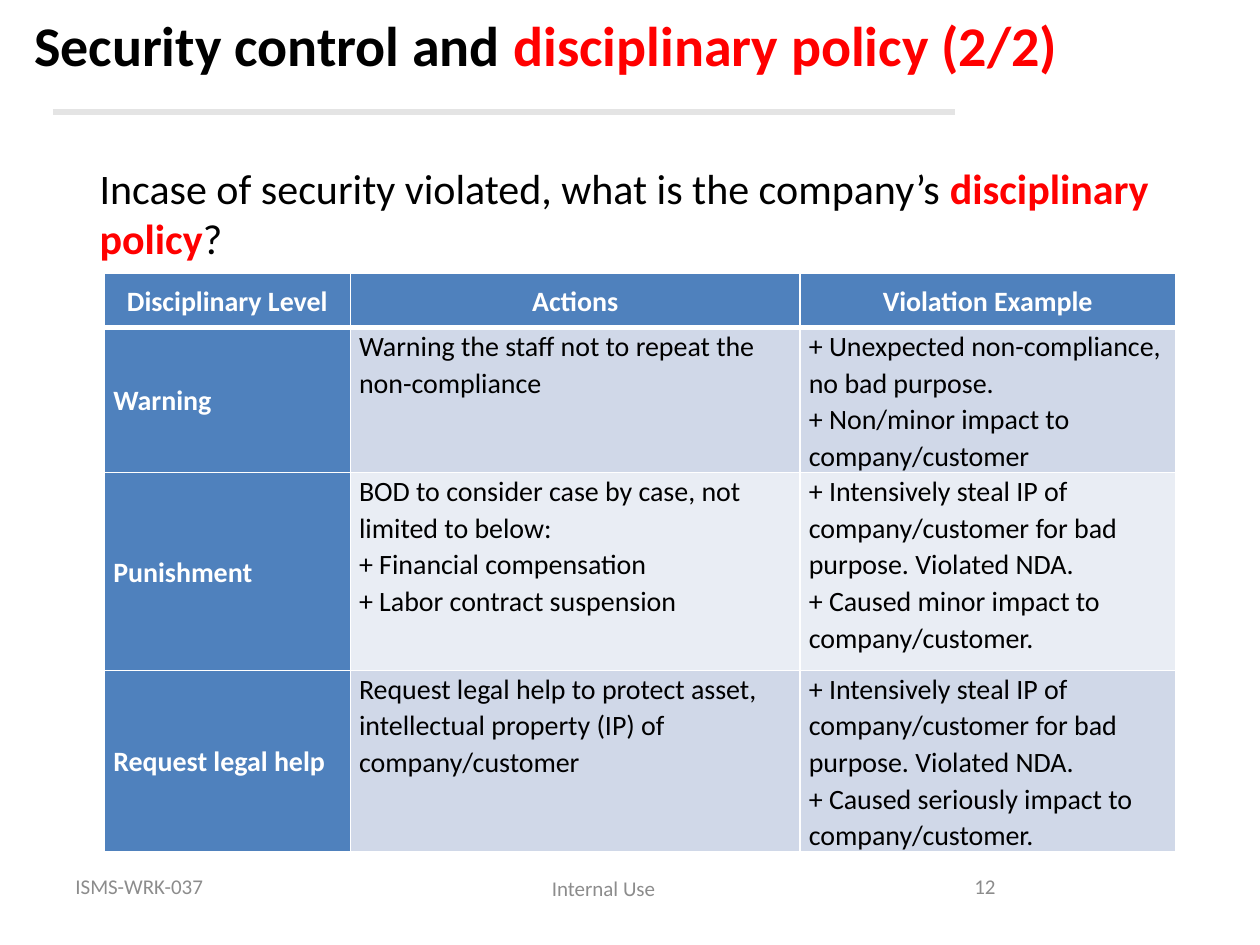
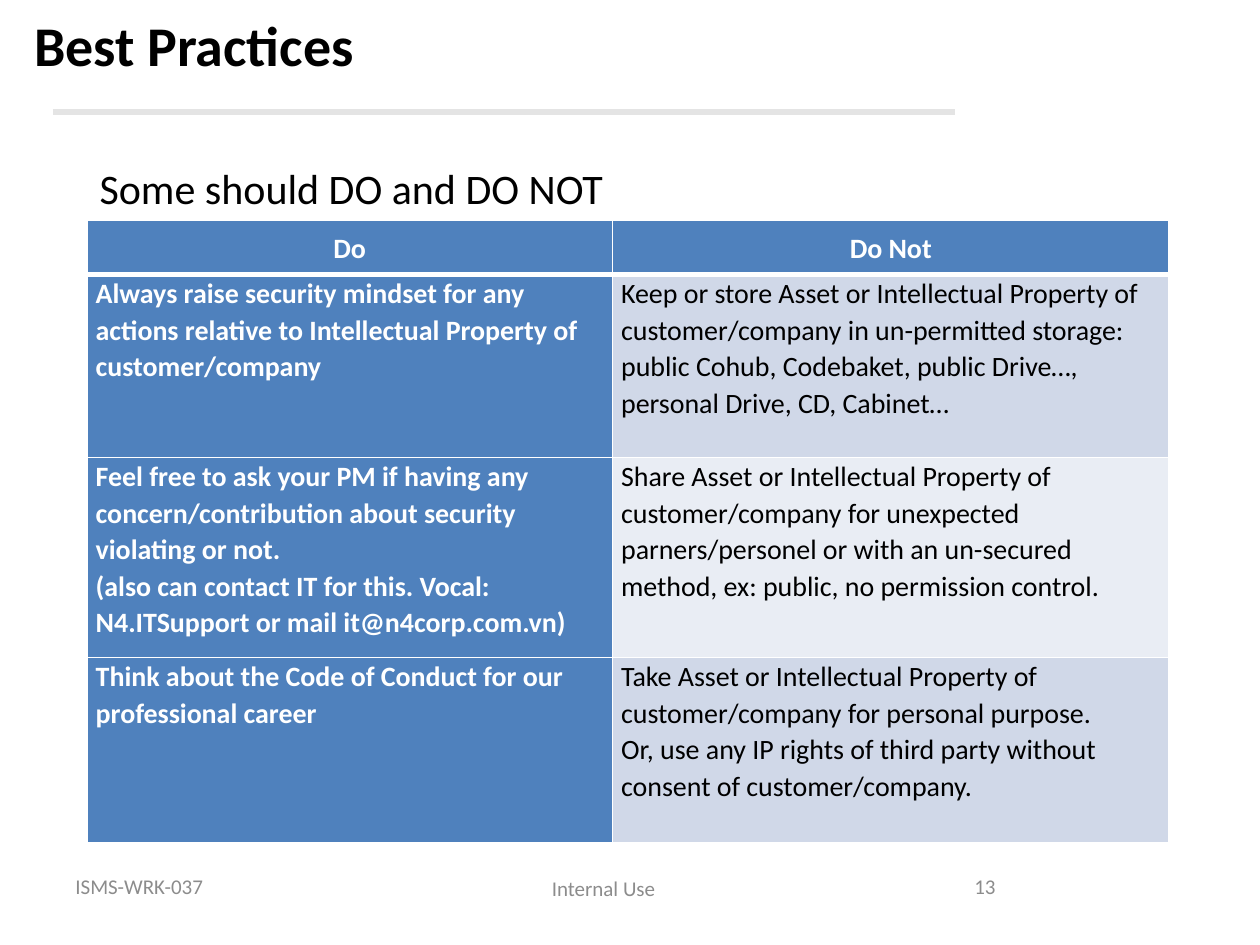
"""Build two security policy slides, each with a heading, a lead line and a table."""
import pptx
import pptx.dml.color
import pptx.enum.shapes
import pptx.enum.text
import pptx.oxml
import pptx.oxml.ns
import pptx.util

Inches = pptx.util.Inches
Pt = pptx.util.Pt
RGBColor = pptx.dml.color.RGBColor
Align = pptx.enum.text.PP_ALIGN
Anchor = pptx.enum.text.MSO_ANCHOR

BLACK = RGBColor(0, 0, 0)
WHITE = RGBColor(255, 255, 255)
RED = RGBColor(255, 0, 0)
GREY = RGBColor(0x8C, 0x8C, 0x8C)
RULE_GREY = RGBColor(0xE4, 0xE4, 0xE4)
BLUE = RGBColor(0x4F, 0x81, 0xBD)
BANDS = (RGBColor(0xD0, 0xD8, 0xE8), RGBColor(0xE9, 0xED, 0xF4))
FONT = "Calibri"

SLIDES = [
    {
        "number": "12",
        "title": [("Security control and ", BLACK, True), ("disciplinary policy (2/2)", RED, True)],
        "lead": [
            ("Incase of security violated, what is the company’s ", BLACK, False),
            ("disciplinary policy", RED, True),
            ("?", BLACK, False),
        ],
        "table": {
            "position": (0.83, 2.17),
            "widths": [1.95, 3.57, 2.98],
            "heights": [0.43, 1.15, 1.57, 1.44],
            "label_anchor": Anchor.MIDDLE,
            "rows": [
                ["Disciplinary Level", "Actions", "Violation Example"],
                [
                    "Warning",
                    "Warning the staff not to repeat the non-compliance",
                    "+ Unexpected non-compliance, no bad purpose.\n"
                    "+ Non/minor impact to company/customer",
                ],
                [
                    "Punishment",
                    "BOD to consider case by case, not limited to below:\n"
                    "+ Financial compensation\n+ Labor contract suspension",
                    "+ Intensively steal IP of company/customer for bad purpose. Violated NDA.\n"
                    "+ Caused minor impact to company/customer.",
                ],
                [
                    "Request legal help",
                    "Request legal help to protect asset, intellectual property (IP) of company/customer",
                    "+ Intensively steal IP of company/customer for bad purpose. Violated NDA.\n"
                    "+ Caused seriously impact to company/customer.",
                ],
            ],
        },
    },
    {
        "number": "13",
        "title": [("Best Practices", BLACK, True)],
        "lead": [("Some should DO and DO NOT", BLACK, False)],
        "table": {
            "position": (0.69, 1.75),
            "widths": [4.17, 4.42],
            "heights": [0.43, 1.45, 1.59, 1.47],
            "label_anchor": Anchor.TOP,
            "rows": [
                ["Do", "Do Not"],
                [
                    "Always raise security mindset for any actions relative to "
                    "Intellectual Property of customer/company",
                    "Keep or store Asset or Intellectual Property of customer/company in "
                    "un-permitted storage: public Cohub, Codebaket, public Drive…, "
                    "personal Drive, CD, Cabinet…",
                ],
                [
                    "Feel free to ask your PM if having any concern/contribution about "
                    "security violating or not.\n"
                    "(also can contact IT for this. Vocal: N4.ITSupport or mail it@n4corp.com.vn)",
                    "Share Asset or Intellectual Property of customer/company for unexpected "
                    "parners/personel or with an un-secured method, ex: public, no permission control.",
                ],
                [
                    "Think about the Code of Conduct for our professional career",
                    "Take Asset or Intellectual Property of customer/company for personal purpose.\n"
                    "Or, use any IP rights of third party without consent of customer/company.",
                ],
            ],
        },
    },
]


def place(shape, left, top, width, height):
    shape.left, shape.top = Inches(left), Inches(top)
    shape.width, shape.height = Inches(width), Inches(height)


def style_run(run, size, color, bold=False):
    run.font.name = FONT
    run.font.size = Pt(size)
    run.font.color.rgb = color
    run.font.bold = bold


def fill_placeholder(shape, box, parts, size):
    place(shape, *box)
    frame = shape.text_frame
    frame.auto_size = pptx.enum.text.MSO_AUTO_SIZE.NONE
    frame.vertical_anchor = Anchor.TOP
    paragraph = frame.paragraphs[0]
    paragraph.alignment = Align.LEFT
    paragraph.space_before = Pt(0)
    for text, color, bold in parts:
        run = paragraph.add_run()
        run.text = text
        style_run(run, size, color, bold)


def add_lead(shape, parts):
    fill_placeholder(shape, (0.67, 1.17, 8.67, 5.61), parts, 24)
    shape.fill.solid()
    shape.fill.fore_color.rgb = WHITE
    frame = shape.text_frame
    frame.margin_left = frame.margin_top = Inches(0.12)
    frame.margin_right = frame.margin_bottom = Inches(0.08)
    properties = frame.paragraphs[0]._p.get_or_add_pPr()
    properties.set("marL", "0")
    properties.set("indent", "0")
    pptx.oxml.ns.qn("a:buNone")
    properties.append(properties.makeelement(pptx.oxml.ns.qn("a:buNone"), {}))


def add_rule(slide):
    rule = slide.shapes.add_connector(
        pptx.enum.shapes.MSO_CONNECTOR.STRAIGHT,
        Inches(0.42), Inches(0.89), Inches(7.58), Inches(0.89),
    )
    rule.line.color.rgb = RULE_GREY
    rule.line.width = Pt(3.75)
    properties = rule._element.spPr
    properties.append(properties.makeelement(pptx.oxml.ns.qn("a:effectLst"), {}))


def add_footers(slide, number):
    for text, box, alignment in (
        ("Internal Use", (3, 6.85, 3.58, 0.4), Align.CENTER),
        (number, (6.75, 6.83, 1.25, 0.4), Align.RIGHT),
        ("ISMS-WRK-037", (0.5, 6.83, 2.33, 0.4), Align.LEFT),
    ):
        frame = slide.shapes.add_textbox(*map(Inches, box)).text_frame
        frame.word_wrap = True
        frame.vertical_anchor = Anchor.MIDDLE
        frame.text = text
        frame.paragraphs[0].alignment = alignment
        style_run(frame.paragraphs[0].runs[0], 12, GREY)


def set_borders(cell, top, bottom):
    properties = cell._tc.get_or_add_tcPr()
    for side, points in (("L", 1), ("R", 1), ("T", top), ("B", bottom)):
        properties.append(pptx.oxml.parse_xml(
            f'<a:ln{side} {pptx.oxml.ns.nsdecls("a")} w="{Pt(points)}">'
            f'<a:solidFill><a:srgbClr val="{WHITE}"/></a:solidFill></a:ln{side}>'
        ))


def fill_cell(cell, text, row, column, label_anchor):
    is_header = row == 0
    is_blue = is_header or column == 0
    set_borders(cell, 3 if row == 1 else 1, 3 if is_header else 1)
    cell.fill.solid()
    cell.fill.fore_color.rgb = BLUE if is_blue else BANDS[(row - 1) % 2]
    cell.margin_left = cell.margin_right = Inches(0.07)
    cell.margin_top = cell.margin_bottom = 0
    if is_header:
        cell.vertical_anchor = Anchor.MIDDLE
    else:
        cell.vertical_anchor = label_anchor if column == 0 else Anchor.TOP
    cell.text_frame.text = text
    for paragraph in cell.text_frame.paragraphs:
        paragraph.alignment = Align.CENTER if is_header else Align.LEFT
        paragraph.line_spacing = 1.07
        style_run(paragraph.runs[0], 16, WHITE if is_blue else BLACK, is_blue)


def add_policy_table(slide, content):
    widths, heights, rows = content["widths"], content["heights"], content["rows"]
    box = (*content["position"], sum(widths), sum(heights))
    table = slide.shapes.add_table(len(rows), len(widths), *map(Inches, box)).table
    for column, width in zip(table.columns, widths):
        column.width = Inches(width)
    for row, height in zip(table.rows, heights):
        row.height = Inches(height)
    for row, texts in enumerate(rows):
        for column, text in enumerate(texts):
            fill_cell(table.cell(row, column), text, row, column, content["label_anchor"])


def main():
    presentation = pptx.Presentation()
    presentation.slide_width, presentation.slide_height = Inches(10), Inches(7.5)
    for content in SLIDES:
        slide = presentation.slides.add_slide(presentation.slide_layouts[1])
        fill_placeholder(slide.shapes.title, (0.17, 0.03, 8.67, 0.77), content["title"], 32)
        add_lead(slide.placeholders[1], content["lead"])
        add_rule(slide)
        add_footers(slide, content["number"])
        add_policy_table(slide, content["table"])
    presentation.save("out.pptx")


if __name__ == "__main__":
    main()
